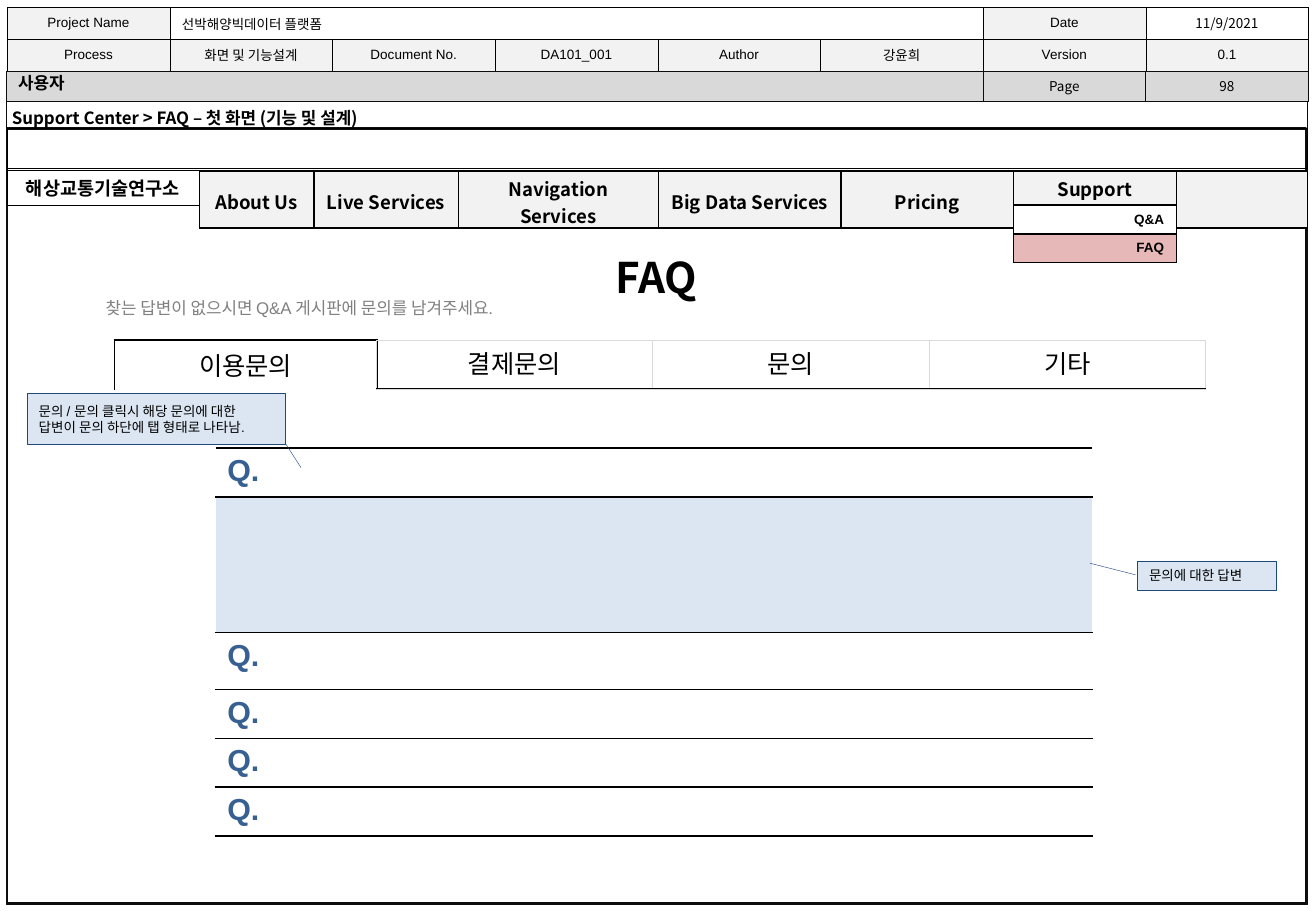
from itertools import product

from pptx import Presentation
from pptx.dml.color import RGBColor
from pptx.enum.shapes import MSO_CONNECTOR, MSO_SHAPE
from pptx.enum.text import MSO_ANCHOR as Anchor, PP_ALIGN as Align
from pptx.oxml.ns import qn
from pptx.util import Cm, Pt
from lxml.etree import SubElement

SANS, ARIAL = "Noto Sans CJK KR", "Arial"
BLACK, WHITE, FRAME = "000000", "FFFFFF", "0D0D0D"
LIGHT, GREY, PALE_BLUE, NAVY = "F2F2F2", "D9D9D9", "DCE6F2", "1F497D"

# Text styles: font, size, bold, colour, alignment
SMALL = (ARIAL, 8, False, BLACK, Align.CENTER)
SMALL_LEFT = (ARIAL, 8, False, BLACK, Align.LEFT)
SMALL_SANS = (SANS, 8, False, BLACK, Align.CENTER)
SUBMENU_STYLE = (ARIAL, 8, True, BLACK, Align.RIGHT)
HEADING = (SANS, 10, True, BLACK, Align.JUSTIFY)
NAV_STYLE = (SANS, 11, True, BLACK, Align.CENTER)
TITLE = (SANS, 25, True, BLACK, Align.CENTER)
HINT = (ARIAL, 10, False, "808080", Align.LEFT)
ACTIVE_TAB = (SANS, 15, False, BLACK, Align.CENTER)
TAB = (ARIAL, 15, False, BLACK, Align.CENTER)
QUESTION = (ARIAL, 18, True, "376092", Align.LEFT)

HEADER = [
    ["Project Name", "선박해양빅데이터 플랫폼", "", "", "", "", "Date", ""],
    ["Process", "화면 및 기능설계", "Document No.", "DA101_001",
     "Author", "강윤희", "Version", "0.1"],
]
NAV = [("About Us", 2.39), ("Live Services", 3.02), ("Navigation Services", 4.19),
       ("Big Data Services", 3.81), ("Pricing", 3.61), ("Support Center", 3.4), ("", 2.74)]
SUBMENU = [("Q&A", WHITE), ("FAQ", "E6B9B8")]
TABS = ["결제문의", "문의", "기타"]
QUESTIONS = [("Q.", 1.02), ("", 2.84), ("Q.", 1.19), ("Q.", 1.02), ("Q.", 1.02), ("Q.", 1.02)]
CALLOUTS = [
    ("문의 / 문의 클릭시 해당 문의에 대한 답변이 문의 하단에 탭 형태로 나타남.",
     (0.56, 8.23, 5.41, 1.07), (0.98, 1, 1.45, 1.06)),
    ("문의에 대한 답변", (23.77, 11.73, 2.9, 0.61), (0.48, -0.01, 0.08, -0.34)),
]

HEADER_COLUMN = 3.4
PAGE_LEFT, PAGE_TOP, BAR_HEIGHT = 20.55, 1.5, 0.61
NAV_LEFT, NAV_TOP = 4.17, 3.58
TAB_LEFT, TAB_TOP, TAB_WIDTH, TAB_HEIGHT = 7.87, 7.11, 5.78, 1.04


def color(hex_string):
    return RGBColor.from_string(hex_string)


def write(text_frame, text, style):
    font_name, size, bold, text_color, align = style
    text_frame.text = text
    paragraph = text_frame.paragraphs[0]
    paragraph.alignment = align
    for run in paragraph.runs:
        run.font.name, run.font.size, run.font.bold = font_name, Pt(size), bold
        run.font.color.rgb = color(text_color)
        SubElement(run.font._element, qn("a:ea"), typeface=SANS)
    if not text:
        SubElement(paragraph._p, qn("a:endParaRPr"), sz=str(size * 100))


def add_box(box, fill=None, line=FRAME, width=0.25, text="", style=SMALL,
            kind=MSO_SHAPE.RECTANGLE):
    shape = slide.shapes.add_shape(kind, *map(Cm, box))
    shape.shadow.inherit = False
    if fill:
        shape.fill.solid()
        shape.fill.fore_color.rgb = color(fill)
    else:
        shape.fill.background()
    shape.line.color.rgb = color(line)
    shape.line.width = Pt(width)
    if text:
        shape.text_frame.word_wrap = True
        shape.text_frame.vertical_anchor = Anchor.MIDDLE
        write(shape.text_frame, text, style)
    return shape


def add_text(box, text, style, anchor=Anchor.TOP):
    text_frame = slide.shapes.add_textbox(*map(Cm, box)).text_frame
    text_frame.word_wrap = True
    text_frame.vertical_anchor = anchor
    write(text_frame, text, style)


def set_borders(cell, width, colors):
    """Draw the sides named in colors (L, R, T, B) and hide the others."""
    properties = cell._tc.get_or_add_tcPr()
    for side in "LRTB":
        border = SubElement(properties, qn(f"a:ln{side}"), w=str(Pt(width)))
        if side in colors:
            fill = SubElement(border, qn("a:solidFill"))
            SubElement(fill, qn("a:srgbClr"), val=colors[side])
        else:
            SubElement(border, qn("a:noFill"))


def add_grid(left, top, widths, heights, texts, style, fill_of, border=1,
             sides=dict.fromkeys("LRTB", BLACK), anchor=Anchor.MIDDLE):
    """Add a table; fill_of(row, column) gives a colour or None."""
    table = slide.shapes.add_table(len(heights), len(widths), Cm(left), Cm(top),
                                   Cm(sum(widths)), Cm(sum(heights))).table
    table.first_row = table.horz_banding = False
    for column, width in zip(table.columns, widths):
        column.width = Cm(width)
    for row, height in zip(table.rows, heights):
        row.height = Cm(height)
    for row, column in product(range(len(heights)), range(len(widths))):
        cell = table.cell(row, column)
        cell.vertical_anchor = anchor
        write(cell.text_frame, texts[row][column], style)
        set_borders(cell, border, sides)
        fill = fill_of(row, column)
        if fill:
            cell.fill.solid()
            cell.fill.fore_color.rgb = color(fill)
        else:
            cell.fill.background()
    return table


presentation = Presentation()
presentation.slide_width, presentation.slide_height = Cm(27.51), Cm(19.05)
slide = presentation.slides.add_slide(presentation.slide_layouts[6])

# Document header
add_box((0.13, PAGE_TOP, 27.2, 17.4))
header = add_grid(0.15, 0.15, [HEADER_COLUMN] * 8, [0.65] * 2, HEADER, SMALL,
                  lambda row, column: LIGHT if row or column in (0, 6) else None, 0.25)
header.cell(0, 1).merge(header.cell(0, 5))
header.cell(0, 1).text_frame.paragraphs[0].alignment = Align.LEFT
number_left = PAGE_LEFT + HEADER_COLUMN
page_number_box = (number_left, PAGE_TOP, HEADER_COLUMN, BAR_HEIGHT)
add_box((0.13, PAGE_TOP, 27.2, BAR_HEIGHT), GREY)
add_box((PAGE_LEFT, PAGE_TOP, HEADER_COLUMN, BAR_HEIGHT), GREY, text="Page", style=SMALL_SANS)
add_box(page_number_box, GREY)
add_box((0.15, 2.69, 27.15, 16.2), WHITE, width=1.5)
add_text((number_left, 0.18, HEADER_COLUMN, BAR_HEIGHT), "11/9/2021", SMALL_SANS, Anchor.MIDDLE)
add_text(page_number_box, "98", SMALL_SANS, Anchor.MIDDLE)
add_box((0.15, 2.69, 27.18, 0.84), line=BLACK)
add_text((0.13, 1.4, 3.84, 0.69), "사용자", HEADING)

# Navigation bar with its open submenu
nav_labels, nav_widths = zip(*NAV)
nav = add_grid(NAV_LEFT, NAV_TOP, nav_widths, [1.19], [nav_labels], NAV_STYLE,
               lambda row, column: LIGHT)
for cell in nav.iter_cells():
    cell.margin_top, cell.margin_bottom = Cm(0.07), Cm(0)
add_box((0.15, 3.56, 4.01, 0.74), WHITE, BLACK, text="해상교통기술연구소", style=NAV_STYLE)
add_grid(NAV_LEFT + sum(nav_widths[:5]), 4.29, [nav_widths[5]], [0.6] * 2,
         [[label] for label, _ in SUBMENU], SUBMENU_STYLE,
         lambda row, column: SUBMENU[row][1])

# Page title
add_text((0, 2.13, 17.17, 0.69), "Support Center > FAQ – 첫 화면 (기능 및 설계)", HEADING)
add_text((10.03, 5.13, 7.39, 1.32), "FAQ", TITLE)
add_text((1.96, 6.1, 16.79, 0.69), "찾는 답변이 없으시면 Q&A 게시판에 문의를 남겨주세요.", HINT)

# Category tabs
add_grid(2.39, TAB_TOP, [5.49], [TAB_HEIGHT], [["이용문의"]], ACTIVE_TAB,
         lambda row, column: None, sides=dict.fromkeys("LTR", BLACK))
for index, label in enumerate(TABS):
    left = TAB_LEFT + index * TAB_WIDTH
    add_box((left, TAB_TOP, TAB_WIDTH, TAB_HEIGHT), line=GREY, width=0.5)
    add_text((left + 0.28, TAB_TOP + 0.05, 5.21, 0.89), label, TAB)
baseline = Cm(8.13)
tab_line = slide.shapes.add_connector(MSO_CONNECTOR.STRAIGHT, Cm(TAB_LEFT), baseline,
                                      Cm(TAB_LEFT + len(TABS) * TAB_WIDTH), baseline)
tab_line.line.color.rgb = color(BLACK)
tab_line.line.width = Pt(0.75)
SubElement(tab_line._element.spPr, qn("a:effectLst"))

# Questions and the opened answer
add_grid(4.5, 9.37, [18.34], [height for _, height in QUESTIONS],
         [[text] for text, _ in QUESTIONS], QUESTION,
         lambda row, column: None if QUESTIONS[row][0] else PALE_BLUE,
         sides={"L": WHITE, "R": WHITE, "T": BLACK, "B": BLACK}, anchor=Anchor.TOP)
for text, box, pointer in CALLOUTS:
    callout = add_box(box, PALE_BLUE, NAVY, text=text, style=SMALL_LEFT,
                      kind=MSO_SHAPE.LINE_CALLOUT_1)
    for index, value in enumerate(pointer):
        callout.adjustments[index] = value

presentation.save("out.pptx")
